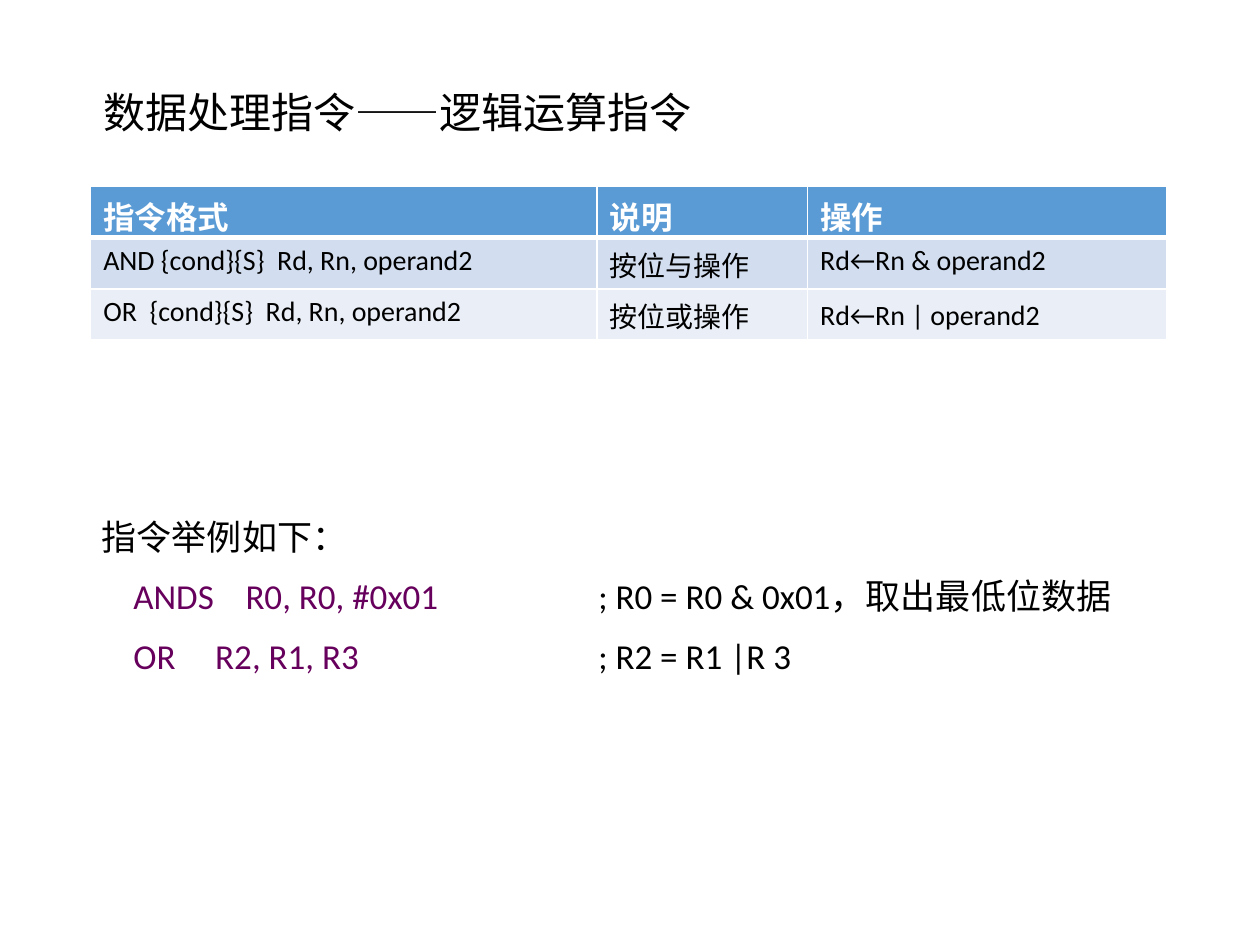
from lxml.etree import SubElement
from pptx import Presentation
from pptx.dml.color import RGBColor
from pptx.oxml.ns import qn
from pptx.util import Inches, Pt

LATIN_FONT = "Calibri"
CHINESE_FONT = "Noto Sans CJK SC"
BLACK, WHITE, PURPLE = "000000", "FFFFFF", "66005C"
ROW_FILLS = ["5B9BD5", "D2DEEF", "EAEFF7"]
COLUMN_WIDTHS = [4.02, 1.67, 2.85]
INSTRUCTIONS = [
    ["指令格式", "说明", "操作"],
    ["AND {cond}{S}  Rd, Rn, operand2", "按位与操作", "Rd←Rn & operand2"],
    ["OR  {cond}{S}  Rd, Rn, operand2", "按位或操作", "Rd←Rn | operand2"],
]
CODE_INDENT, COMMENT_INDENT = 0.25, 3.94
EXAMPLES = [
    ("ANDS", 1.14, "R0, R0, #0x01", "; R0 = R0 & 0x01，取出最低位数据"),
    ("OR", 0.9, "R2, R1, R3", "; R2 = R1 |R 3"),
]


def color(value):
    return RGBColor.from_string(value)


def add_run(paragraph, text, size, font_color=BLACK, bold=False, font=LATIN_FONT):
    run = paragraph.add_run()
    run.text = text
    run.font.size = Pt(size)
    run.font.bold = bold
    run.font.name = font
    run.font.color.rgb = color(font_color)
    SubElement(run._r.get_or_add_rPr(), qn("a:ea"), typeface=CHINESE_FONT)


def add_text_frame(slide, left, top, width, height):
    box = slide.shapes.add_textbox(
        Inches(left), Inches(top), Inches(width), Inches(height)
    )
    box.text_frame.word_wrap = True
    return box.text_frame


def add_title(slide, left, top, width, height):
    frame = add_text_frame(slide, left, top, width, height)
    add_run(frame.paragraphs[0], "数据处理指令——逻辑运算指令", 24, font=CHINESE_FONT)


def set_borders(cell, header, below_header):
    properties = cell._tc.get_or_add_tcPr()
    widths = {"lnL": 1, "lnR": 1, "lnT": 3 if below_header else 1, "lnB": 3 if header else 1}
    for position, (side, width) in enumerate(widths.items()):
        line = properties.makeelement(qn(f"a:{side}"), {"w": str(Pt(width))})
        fill = SubElement(line, qn("a:solidFill"))
        SubElement(fill, qn("a:srgbClr"), val=WHITE)
        properties.insert(position, line)


def add_instruction_table(slide, left, top, width, height):
    table = slide.shapes.add_table(
        len(INSTRUCTIONS), len(COLUMN_WIDTHS),
        Inches(left), Inches(top), Inches(width), Inches(height),
    ).table
    for column, column_width in zip(table.columns, COLUMN_WIDTHS):
        column.width = Inches(column_width)
    for row_index, (texts, fill) in enumerate(zip(INSTRUCTIONS, ROW_FILLS)):
        header = row_index == 0
        for column_index, text in enumerate(texts):
            cell = table.cell(row_index, column_index)
            cell.fill.solid()
            cell.fill.fore_color.rgb = color(fill)
            set_borders(cell, header, row_index == 1)
            paragraph = cell.text_frame.paragraphs[0]
            add_run(paragraph, text, 18 if header else 16, WHITE if header else BLACK, header)
    add_run(table.cell(2, 2).text_frame.paragraphs[0], " ", 18)


def set_tabs(paragraph, positions):
    tabs = SubElement(paragraph._p.get_or_add_pPr(), qn("a:tabLst"))
    for position in positions:
        SubElement(tabs, qn("a:tab"), pos=str(Inches(position)), algn="l")


def add_examples(slide, left, top, width, height):
    frame = add_text_frame(slide, left, top, width, height)
    heading = frame.paragraphs[0]
    heading.space_before = Pt(10)
    add_run(heading, "指令举例如下：", 20)
    for mnemonic, operand_indent, operands, comment in EXAMPLES:
        paragraph = frame.add_paragraph()
        paragraph.space_before = Pt(10)
        set_tabs(paragraph, [CODE_INDENT, operand_indent, COMMENT_INDENT])
        add_run(paragraph, f"\t{mnemonic}\t{operands}", 20, PURPLE)
        add_run(paragraph, f"\t{comment}", 20)


def main():
    presentation = Presentation()
    presentation.slide_width = Inches(10)
    presentation.slide_height = Inches(7.5)
    slide = presentation.slides.add_slide(presentation.slide_layouts[6])
    add_title(slide, 0.72, 0.64, 5.78, 0.5)
    add_instruction_table(slide, 0.72, 1.48, sum(COLUMN_WIDTHS), 1.22)
    add_examples(slide, 0.71, 4.04, 9.25, 1.95)
    presentation.save("out.pptx")


if __name__ == "__main__":
    main()
